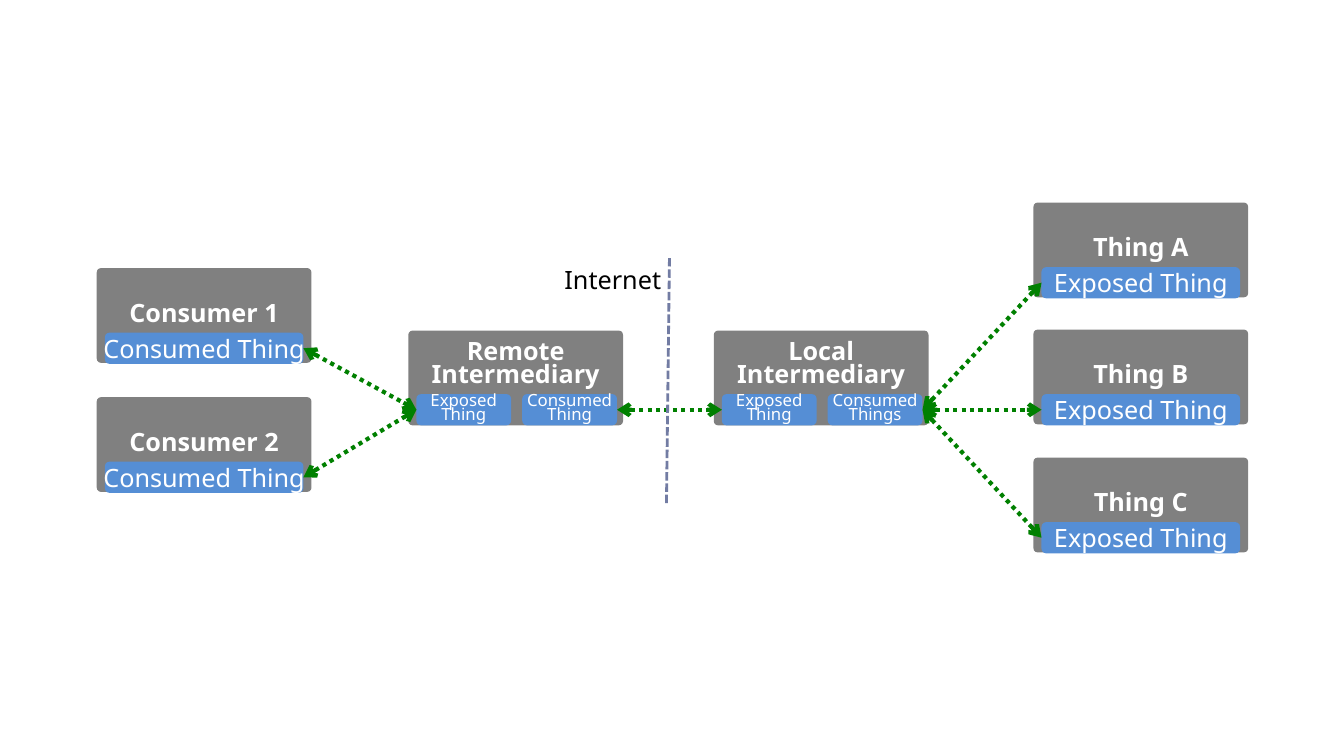
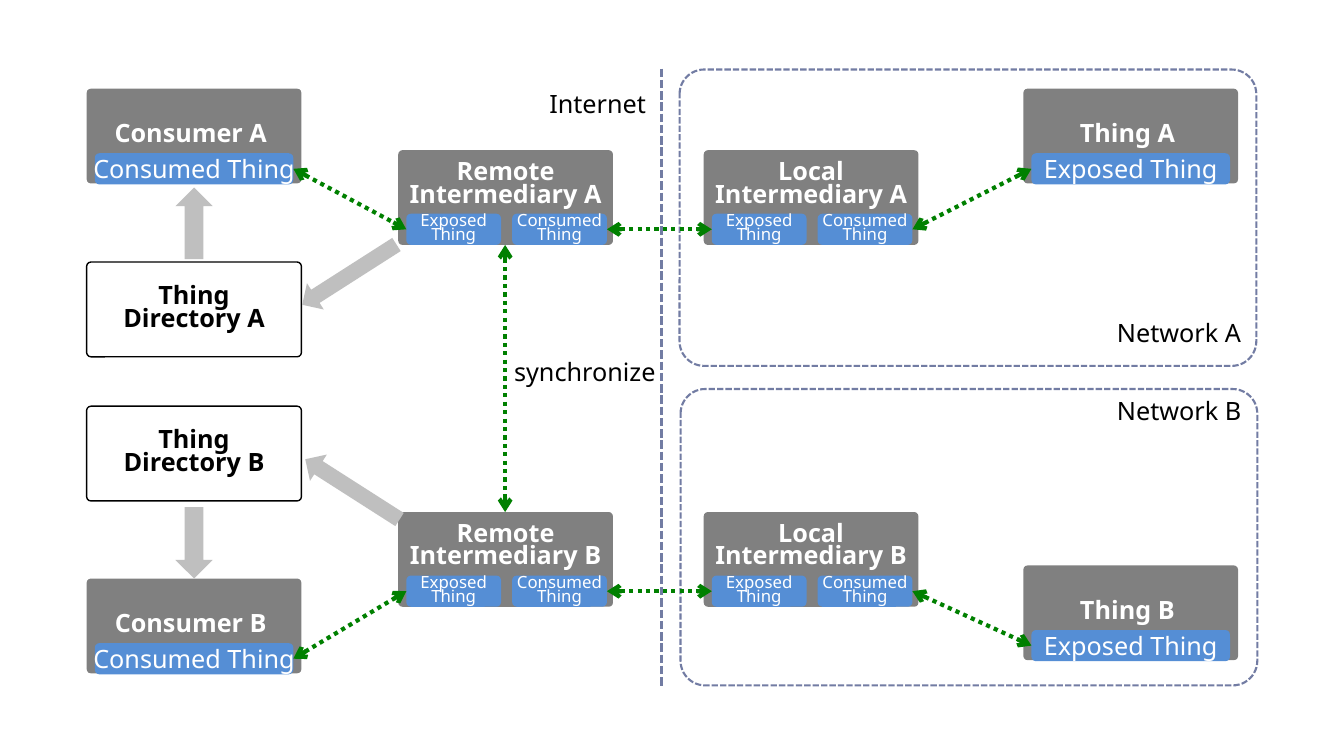
from dataclasses import dataclass

from lxml import etree
from pptx import Presentation
from pptx.dml.color import RGBColor
from pptx.enum.dml import MSO_LINE
from pptx.enum.shapes import MSO_CONNECTOR, MSO_SHAPE
from pptx.enum.text import MSO_ANCHOR, MSO_AUTO_SIZE, PP_ALIGN
from pptx.oxml.ns import qn
from pptx.util import Inches, Pt

ROUNDED, DOWN_ARROW = MSO_SHAPE.ROUNDED_RECTANGLE, MSO_SHAPE.DOWN_ARROW
STRAIGHT = MSO_CONNECTOR.STRAIGHT
DOTS, DASHES = MSO_LINE.ROUND_DOT, MSO_LINE.SQUARE_DOT
LEFT, CENTER = PP_ALIGN.LEFT, PP_ALIGN.CENTER
MIDDLE, FIT_SHAPE = MSO_ANCHOR.MIDDLE, MSO_AUTO_SIZE.SHAPE_TO_FIT_TEXT
BLANK_LAYOUT = 6


@dataclass(frozen=True)
class Theme:
    """Colours, font and type sizes of the deck."""
    font: str = "Noto Sans"
    body: int = 18
    small: int = 12
    black: str = "000000"
    white: str = "FFFFFF"
    node: str = "808080"
    chip: str = "558ED5"
    link: str = "008000"
    border: str = "727CA3"
    arrow: str = "BFBFBF"


THEME = Theme()

# Node geometry, in inches
NODE_W, NODE_H = 2.13, 0.94
CHIP_H, CHIP_INSET = 0.31, 0.08
WIDE_CHIP, SMALL_CHIP = 1.97, 0.94
WIDE_DROP, SMALL_DROP = 0.64, 0.63
SECOND_CHIP = 1.13


def write(shape, text, size=THEME.body, color=THEME.white, bold=False,
          align=CENTER, spacing=None):
    """Write one paragraph per line of text, without wrapping."""
    tf = shape.text_frame
    tf.word_wrap = False
    for i, line in enumerate(text.split("\n")):
        p = tf.add_paragraph() if i else tf.paragraphs[0]
        p.alignment = align
        if spacing:
            p.line_spacing = spacing
        r = p.add_run()
        r.text = line
        r.font.name, r.font.size, r.font.bold = THEME.font, Pt(size), bold
        r.font.color.rgb = RGBColor.from_string(color)
    return tf


class Diagram:
    """Draws the elements of a network diagram on the current slide."""

    def __init__(self, prs, theme):
        """Keep the presentation and its style."""
        self.prs, self.theme, self.s = prs, theme, None

    def new_slide(self):
        """Start an empty slide."""
        self.s = self.prs.slides.add_slide(self.prs.slide_layouts[BLANK_LAYOUT])

    def shape(self, kind, x, y, w, h, fill=None, line=None, width=1, adjust=()):
        """Add a flat preset shape."""
        sp = self.s.shapes.add_shape(kind, Inches(x), Inches(y), Inches(w), Inches(h))
        sp.shadow.inherit = False
        for i, value in enumerate(adjust):
            sp.adjustments[i] = value
        if fill:
            sp.fill.solid()
            sp.fill.fore_color.rgb = RGBColor.from_string(fill)
        else:
            sp.fill.background()
        if line:
            sp.line.color.rgb = RGBColor.from_string(line)
            sp.line.width = Pt(width)
        else:
            sp.line.fill.background()
        return sp

    def box(self, text, x, y, fill, color, line=None, lift=0):
        """Add a box with a bold caption, moved up by a bottom margin."""
        sp = self.shape(ROUNDED, x, y, NODE_W, NODE_H, fill, line, adjust=[0.045])
        tf = write(sp, text, color=color, bold=True, spacing=0.75)
        tf.margin_left = tf.margin_right = tf.margin_top = 0
        tf.margin_bottom = Inches(lift)
        tf.vertical_anchor = MIDDLE

    def chip(self, text, x, y, w, **style):
        """Add a blue label inside a node."""
        sp = self.shape(ROUNDED, x, y, w, CHIP_H, self.theme.chip, adjust=[0.15])
        write(sp, text, **style).vertical_anchor = MIDDLE

    def endpoint(self, name, role, x, y):
        """Add a consumer or thing; return its left and right ports."""
        self.box(name, x, y, self.theme.node, self.theme.white)
        left, top = x + CHIP_INSET, y + WIDE_DROP
        self.chip(role, left, top, WIDE_CHIP)
        port_y = top + CHIP_H / 2
        return (left, port_y), (left + WIDE_CHIP, port_y)

    def intermediary(self, name, x, y, consumed="Consumed\nThing"):
        """Add an intermediary; return its left and right ports."""
        self.box(name, x, y, self.theme.node, self.theme.white, lift=0.25)
        left, second, top = x + CHIP_INSET, x + SECOND_CHIP, y + SMALL_DROP
        for text, chip_x in (("Exposed\nThing", left), (consumed, second)):
            self.chip(text, chip_x, top, SMALL_CHIP, size=self.theme.small, spacing=0.7)
        port_y = top + CHIP_H / 2
        return (left, port_y), (second + SMALL_CHIP, port_y)

    def directory(self, name, x, y):
        """Add an outlined directory box."""
        self.box(name, x, y, self.theme.white, self.theme.black, line=self.theme.black)

    def line(self, start, end, color, width, dash):
        """Add a flat straight line and return its a:ln element."""
        c = self.s.shapes.add_connector(STRAIGHT, *map(Inches, start + end))
        c.line.color.rgb = RGBColor.from_string(color)
        c.line.width, c.line.dash_style = Pt(width), dash
        etree.SubElement(c._element.spPr, qn("a:effectLst"))
        return c._element.spPr.find(qn("a:ln"))

    def link(self, start, end):
        """Add a dotted arrow that points both ways."""
        ln = self.line(start, end, self.theme.link, 3, DOTS)
        for tag in ("a:headEnd", "a:tailEnd"):
            etree.SubElement(ln, qn(tag), type="arrow")

    def boundary(self, start, end):
        """Add the dashed line between the internet and local networks."""
        self.line(start, end, self.theme.border, 2, DASHES)

    def network(self, x, y):
        """Add a dashed frame around a local network."""
        sp = self.shape(ROUNDED, x, y, 5.72, 2.94, line=self.theme.border,
                        width=1.5, adjust=[0.083])
        sp.line.dash_style = DASHES

    def arrow(self, x, y, w, h, rotation=0):
        """Add a grey block arrow, pointing down before rotation."""
        sp = self.shape(DOWN_ARROW, x, y, w, h, self.theme.arrow, adjust=[0.5, 0.5])
        sp.rotation = rotation

    def label(self, text, x, y, w):
        """Add a plain text label."""
        sp = self.s.shapes.add_textbox(Inches(x), Inches(y), Inches(w), Inches(0.4))
        write(sp, text, color=self.theme.black, align=LEFT).auto_size = FIT_SHAPE


@dataclass(frozen=True)
class Site:
    """Vertical places of one half of the two-network slide."""
    letter: str
    consumer: float
    intermediary: float
    thing: float
    directory: float
    to_consumer: tuple
    to_directory: tuple
    network: tuple
    caption: float


SITES = (
    Site("A", 0.88, 1.49, 0.88, 2.6, (1.86, 180), (3.31, 2.17, 57.4), (6.74, 0.69), 3.1),
    Site("B", 5.74, 5.08, 5.61, 4.03, (5.03, 0), (3.34, 4.3, 122.6), (6.75, 3.86), 3.87),
)


def single_network(d):
    """Two consumers reach three things through two intermediaries."""
    d.new_slide()
    remote_in, remote_out = d.intermediary("Remote\nIntermediary", 4.05, 3.28)
    local_in, local_out = d.intermediary("Local\nIntermediary", 7.08, 3.28,
                                         consumed="Consumed\nThings")
    d.link(remote_out, local_in)
    for name, y in (("Consumer 1", 2.66), ("Consumer 2", 3.94)):
        _, port = d.endpoint(name, "Consumed Thing", 0.96, y)
        d.link(port, remote_in)
    for name, y in (("Thing A", 2.01), ("Thing B", 3.27), ("Thing C", 4.54)):
        port, _ = d.endpoint(name, "Exposed Thing", 10.25, y)
        d.link(local_out, port)
    d.boundary((6.64, 2.56), (6.61, 5.01))
    d.label("Internet", 5.5, 2.57, 1.17)


def two_networks(d):
    """Two networks with directories and synchronized intermediaries."""
    d.new_slide()
    for site in SITES:
        letter = site.letter
        d.network(*site.network)
        d.label(f"Network {letter}", 10.98, site.caption, 1.44)
        _, consumer = d.endpoint(f"Consumer {letter} ", "Consumed Thing", 0.86, site.consumer)
        remote_in, remote_out = d.intermediary(
            f"Remote\nIntermediary {letter}", 3.95, site.intermediary)
        local_in, local_out = d.intermediary(
            f"Local\nIntermediary {letter}", 6.98, site.intermediary)
        thing, _ = d.endpoint(f"Thing {letter} ", "Exposed Thing", 10.15, site.thing)
        d.link(consumer, remote_in)
        d.link(remote_out, local_in)
        d.link(local_out, thing)
        d.directory(f"Thing\nDirectory {letter}", 0.86, site.directory)
        x, y, rotation = site.to_directory
        d.arrow(x, y, 0.31, 1.11, rotation)
        y, rotation = site.to_consumer
        d.arrow(1.74, y, 0.37, 0.71, rotation)
    upper, lower = SITES
    d.link((5.01, upper.intermediary + NODE_H), (5.01, lower.intermediary))
    d.label("synchronize", 5, 3.49, 1.62)
    d.boundary((6.56, 0.68), (6.56, 6.82))
    d.label("Internet", 5.35, 0.83, 1.17)


def main():
    """Build and save the deck."""
    prs = Presentation()
    prs.slide_width, prs.slide_height = Inches(13.33), Inches(7.5)
    d = Diagram(prs, THEME)
    single_network(d)
    two_networks(d)
    prs.save("out.pptx")


main()
